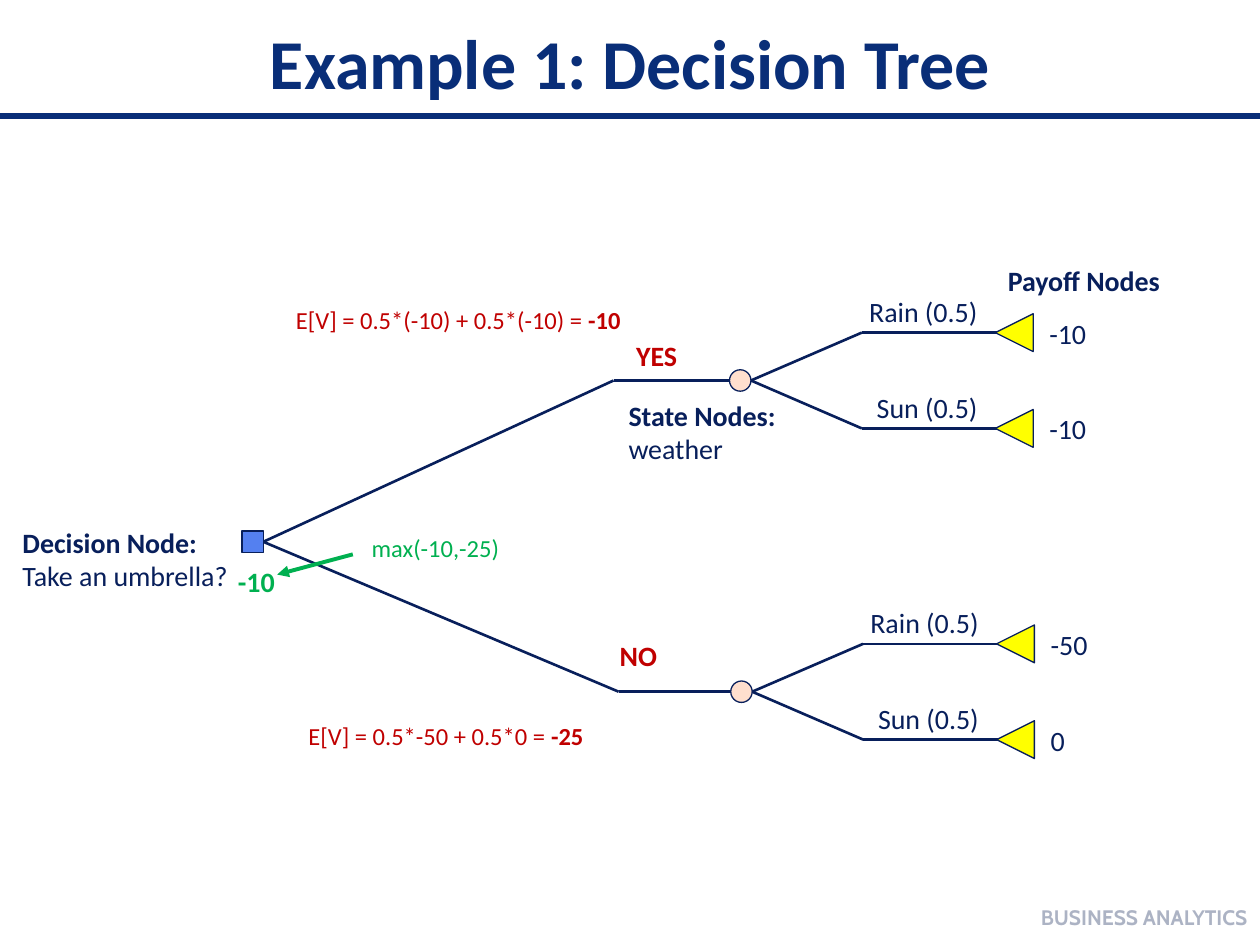
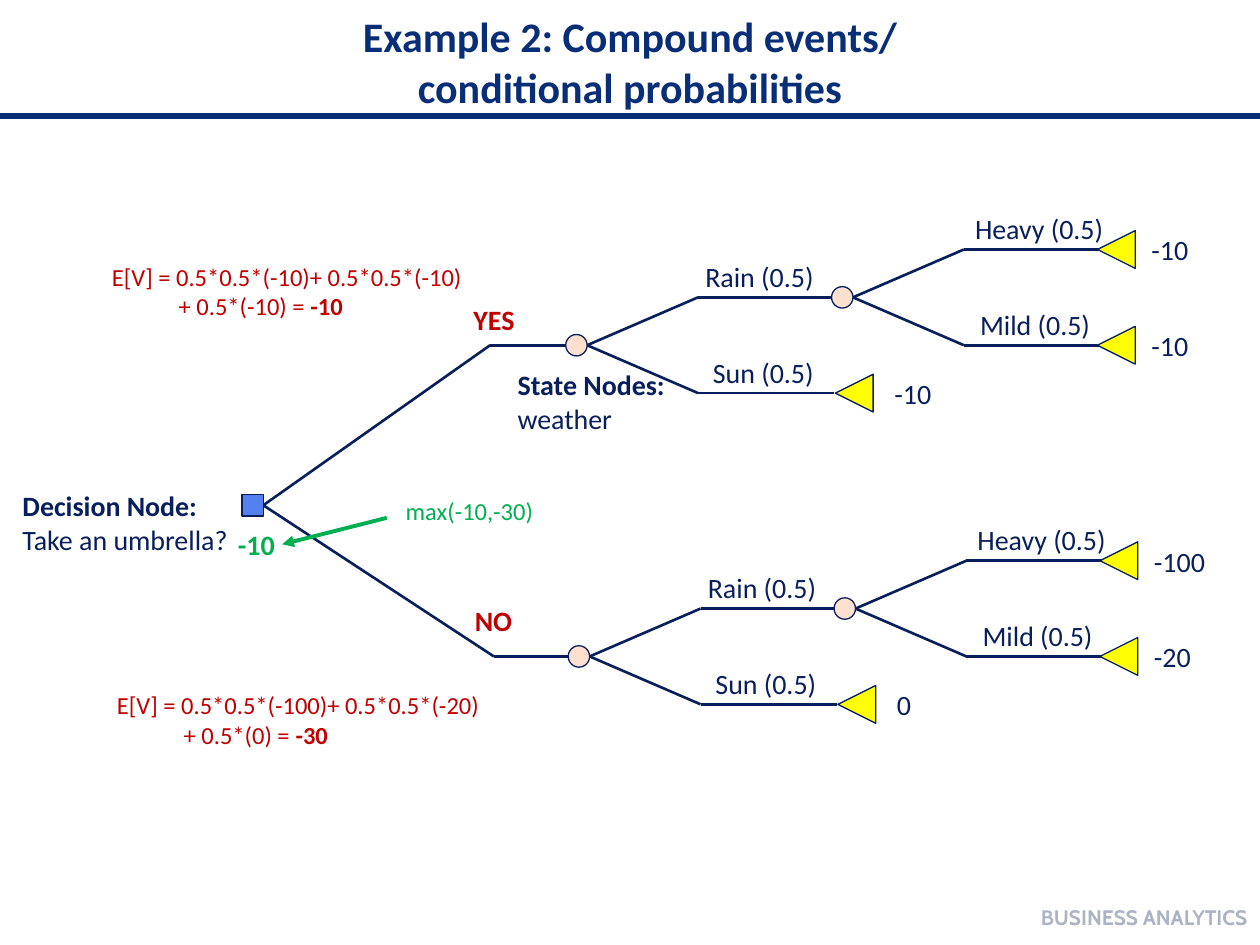
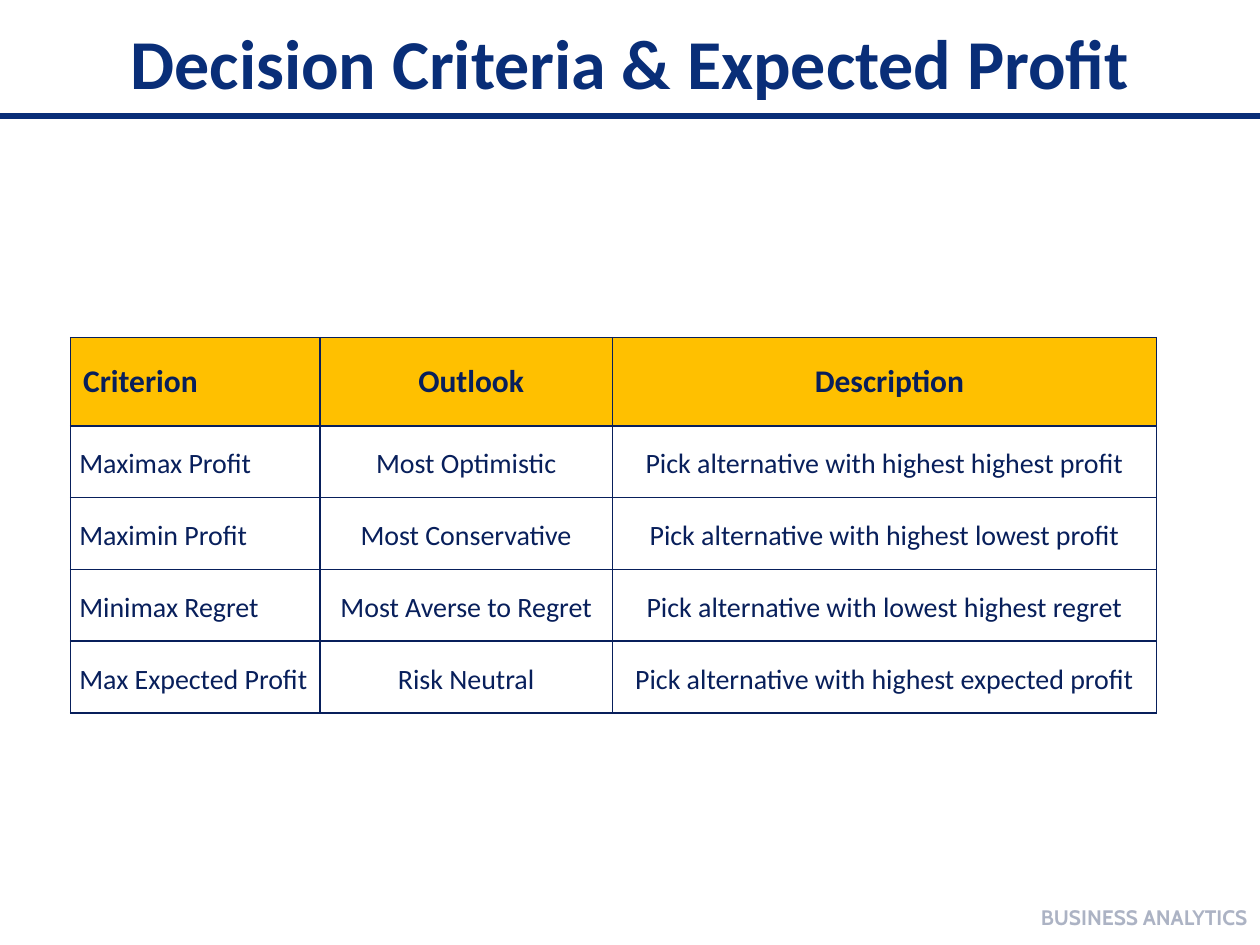
from lxml import etree
from pptx import Presentation
from pptx.dml.color import RGBColor
from pptx.enum.shapes import MSO_CONNECTOR, MSO_SHAPE
from pptx.enum.text import MSO_ANCHOR, MSO_AUTO_SIZE, PP_ALIGN
from pptx.oxml.ns import qn
from pptx.util import Inches, Pt

STRAIGHT = MSO_CONNECTOR.STRAIGHT
RECTANGLE, OVAL, TRIANGLE = (
    MSO_SHAPE.RECTANGLE, MSO_SHAPE.OVAL, MSO_SHAPE.ISOSCELES_TRIANGLE)
MIDDLE = MSO_ANCHOR.MIDDLE
LEFT, CENTER, RIGHT = PP_ALIGN.LEFT, PP_ALIGN.CENTER, PP_ALIGN.RIGHT
NO_FIT, GROW = MSO_AUTO_SIZE.NONE, MSO_AUTO_SIZE.SHAPE_TO_FIT_TEXT

TITLE_BLUE = RGBColor(0x09, 0x2E, 0x78)
NAVY = RGBColor(0x08, 0x1F, 0x5B)
FOOTER_NAVY = RGBColor(0x06, 0x19, 0x4C)
DECISION_BLUE = RGBColor(0x54, 0x80, 0xF0)
STATE_PEACH = RGBColor(0xFF, 0xDF, 0xCE)
PAYOFF_YELLOW = RGBColor(0xFF, 0xFF, 0x00)
RED = RGBColor(0xC0, 0x00, 0x00)
GREEN = RGBColor(0x00, 0xB0, 0x50)
HEADER_GOLD = RGBColor(0xFF, 0xC0, 0x00)

BODY_FONT, FOOTER_FONT = "Calibri", "Cabin"
TITLE_ONLY = 5

NODE = 0.17          # side of decision and state nodes
LEAF = 0.3           # side of payoff triangles
ROOT_X = 1.92
SPREAD = 0.38        # height of a branch above or below its state node
KNEE, BRANCH_END = 0.88, 1.96

# event: (offset of its label from the state node, label width)
EVENTS = {"Rain": (0.84, 1.07), "Sun": (0.9, 1.01),
          "Heavy": (0.87, 1.23), "Mild": (0.91, 1.08)}
PAYOFF_WIDTHS = {1: 0.32, 3: 0.5, 4: 0.61}   # by number of characters

COLUMN_WIDTHS = [1.98, 2.32, 4.32]
HEADER_HEIGHT, ROW_HEIGHT = 0.7, 0.57
CRITERIA = [
    ("Criterion", "Outlook", "Description"),
    ("Maximax Profit", "Most Optimistic",
     "Pick alternative with highest highest profit"),
    ("Maximin Profit", "Most Conservative",
     "Pick alternative with highest lowest profit"),
    ("Minimax Regret", "Most Averse to Regret",
     "Pick alternative with lowest highest regret"),
]
EXPECTED_PROFIT = [
    ("Max Expected Profit", "Risk Neutral",
     "Pick alternative with highest expected profit"),
]


def style_font(font, size, color=NAVY, bold=False, name=BODY_FONT):
    font.size, font.bold, font.name = Pt(size), bold, name
    font.color.rgb = color


def add_text(slide, x, y, width, lines, size=16, color=NAVY, indent=0):
    """Lines are lists of (text, bold) runs; indent applies after the first."""
    height = 0.1 + len(lines) * size / 60
    box = slide.shapes.add_textbox(*map(Inches, (x, y, width, height)))
    frame = box.text_frame
    frame.word_wrap = False
    frame.auto_size = GROW
    for number, runs in enumerate(lines):
        paragraph = frame.add_paragraph() if number else frame.paragraphs[0]
        if number and indent:
            paragraph._p.get_or_add_pPr().set("marL", str(Inches(indent)))
        for text, bold in runs:
            run = paragraph.add_run()
            run.text = text
            style_font(run.font, size, color, bold)


def add_line(slide, start, end, color=NAVY, width=1.5, arrow=False):
    line = slide.shapes.add_connector(STRAIGHT, *map(Inches, (*start, *end)))
    line.line.color.rgb = color
    line.line.width = Pt(width)
    if arrow:
        etree.SubElement(line.line._get_or_add_ln(), qn("a:tailEnd"),
                         type="triangle")
    etree.SubElement(line._element.spPr, qn("a:effectLst"))


def add_node(slide, kind, x, center_y, side, fill):
    node = slide.shapes.add_shape(
        kind, *map(Inches, (x, center_y - side / 2, side, side)))
    node.shadow.inherit = False
    node.fill.solid()
    node.fill.fore_color.rgb = fill
    node.line.color.rgb = NAVY
    node.line.width = Pt(0.75)
    return node


def add_payoff(slide, x, y, value, gap):
    add_node(slide, TRIANGLE, x, y, LEAF, PAYOFF_YELLOW).rotation = 270
    add_text(slide, x + gap, y - 0.18, PAYOFF_WIDTHS[len(value)],
             [[(value, False)]])


def add_fork(slide, x, y, branches, leaf_x=1.94, leaf_gap=0.33):
    """State node ending at (x, y), with an upper and a lower branch.

    Branches are (event, outcome); an outcome is a payoff or nested branches.
    """
    for side, (event, outcome) in zip((-1, 1), branches):
        branch_y = y + side * SPREAD
        add_line(slide, (x, y), (x + KNEE, branch_y))
        add_line(slide, (x + KNEE, branch_y), (x + BRANCH_END, branch_y))
        label_x, label_width = EVENTS[event]
        add_text(slide, x + label_x, branch_y - 0.35, label_width,
                 [[(f"{event} (0.5)", False)]])
        if isinstance(outcome, str):
            add_payoff(slide, x + leaf_x, branch_y, outcome, leaf_gap)
        else:
            add_fork(slide, x + 2.11, branch_y, outcome)
    add_node(slide, OVAL, x - NODE, y, NODE, STATE_PEACH)


def add_decision(slide, y, forks, knees, maximum, maximum_x, arrow_tip):
    """Decision node at height y, with its stems to the forks."""
    start = (ROOT_X + NODE, y)
    for knee_x, (fork_x, fork_y) in zip(knees, forks):
        add_line(slide, start, (knee_x, fork_y))
        add_line(slide, (knee_x, fork_y), (fork_x - NODE, fork_y))
    add_node(slide, RECTANGLE, ROOT_X, y, NODE, DECISION_BLUE)
    add_text(slide, 0.08, y - 0.18, 1.85,
             [[("Decision Node:", True)], [("Take an umbrella?", False)]])
    add_text(slide, 1.79, y + 0.13, 0.5, [[("-10", True)]], color=GREEN)
    add_text(slide, maximum_x, y - 0.12, 1.22, [[(maximum, False)]], 14, GREEN)
    add_line(slide, (maximum_x - 0.05, y + 0.1), arrow_tip, GREEN, 2.25, True)


def add_stem_labels(slide, yes, no, state):
    for text, (x, y), width in (("YES", yes, 0.53), ("NO", no, 0.5)):
        add_text(slide, x, y, width, [[(text, True)]], color=RED)
    add_text(slide, *state, 1.38,
             [[("State Nodes:", True)], [("weather", False)]])


def add_footer(slide):
    box = slide.shapes.add_textbox(*map(Inches, (6.67, 7.08, 3.33, 0.4)))
    frame = box.text_frame
    frame.word_wrap = True
    frame.vertical_anchor = MIDDLE
    paragraph = frame.paragraphs[0]
    paragraph.alignment = RIGHT
    run = paragraph.add_run()
    run.text = "BUSINESS ANALYTICS"
    style_font(run.font, 12, FOOTER_NAVY, True, FOOTER_FONT)
    color = run._r.find(".//" + qn("a:srgbClr"))
    etree.SubElement(color, qn("a:alpha"), val="33000")


def add_titled_slide(deck, heading, size=40):
    slide = deck.slides.add_slide(deck.slide_layouts[TITLE_ONLY])
    add_line(slide, (0, 0.92), (10, 0.92), TITLE_BLUE, 3)
    add_footer(slide)
    title = slide.shapes.title
    title.left, title.top, title.width, title.height = map(
        Inches, (0.69, -0.24, 8.62, 1.45))
    frame = title.text_frame
    frame.text = heading
    frame.auto_size = NO_FIT
    frame.vertical_anchor = MIDDLE
    paragraph = frame.paragraphs[0]
    paragraph.alignment = CENTER
    for run in paragraph.runs:
        style_font(run.font, size, TITLE_BLUE, True)
    return slide


def add_borders(cell):
    properties = cell._tc.get_or_add_tcPr()
    for side in ("a:lnL", "a:lnR", "a:lnT", "a:lnB"):
        line = etree.SubElement(properties, qn(side), w=str(Pt(1)))
        fill = etree.SubElement(line, qn("a:solidFill"))
        etree.SubElement(fill, qn("a:srgbClr"), val=str(NAVY))


def fill_cell(cell, text, alignment, header):
    add_borders(cell)
    if header:
        cell.fill.solid()
        cell.fill.fore_color.rgb = HEADER_GOLD
    else:
        cell.fill.background()
    cell.text = text
    cell.vertical_anchor = MIDDLE
    insets = (0.1, 0.05, 0.02, 0.05) if header else (0.07, 0, 0.07, 0)
    for side, inset in zip(("left", "top", "right", "bottom"), insets):
        setattr(cell, f"margin_{side}", Inches(inset))
    paragraph = cell.text_frame.paragraphs[0]
    paragraph.alignment = alignment
    if not header:
        paragraph.line_spacing = 1.15
    style_font(paragraph.runs[0].font, 18 if header else 16, bold=header)


def add_criteria_table(slide, x, y, rows, has_header):
    heights = [ROW_HEIGHT] * len(rows)
    if has_header:
        heights[0] = HEADER_HEIGHT
    table = slide.shapes.add_table(
        len(rows), len(COLUMN_WIDTHS),
        *map(Inches, (x, y, sum(COLUMN_WIDTHS), sum(heights)))).table
    table.first_row = has_header
    table.horz_banding = False
    for column, width in zip(table.columns, COLUMN_WIDTHS):
        column.width = Inches(width)
    for index, (row, height, texts) in enumerate(
            zip(table.rows, heights, rows)):
        row.height = Inches(height)
        for cell, text, alignment in zip(
                row.cells, texts, (LEFT, CENTER, CENTER)):
            fill_cell(cell, text, alignment, has_header and index == 0)


def build_simple_tree(deck):
    slide = add_titled_slide(deck, "Example 1: Decision Tree")
    forks = [(5.96, 3.02), (5.97, 5.49)]
    add_decision(slide, 4.3, forks, (4.87, 4.91), "max(-10,-25)", 2.85,
                 (2.2, 4.56))
    add_fork(slide, *forks[0], [("Rain", "-10"), ("Sun", "-10")])
    add_fork(slide, *forks[1], [("Rain", "-50"), ("Sun", "0")])
    add_stem_labels(slide, (4.95, 2.64), (4.82, 5.02), (4.89, 3.11))
    add_text(slide, 7.9, 2.04, 1.43, [[("Payoff Nodes", True)]])
    add_text(slide, 2.25, 2.37, 2.8,
             [[("E[V] = 0.5*(-10) + 0.5*(-10) = ", False), ("-10", True)]],
             14, RED)
    add_text(slide, 2.35, 5.67, 2.4,
             [[("E[V] = 0.5*-50 + 0.5*0 = ", False), ("-25", True)]], 14, RED)


def build_compound_tree(deck):
    slide = add_titled_slide(
        deck, "Example 2: Compound events/\vconditional probabilities", 24)
    forks = [(4.66, 2.74), (4.68, 5.21)]
    outcomes = [("-10", "-10", "-10"), ("-100", "-20", "0")]
    add_decision(slide, 4.01, forks, (3.89, 3.92), "max(-10,-30)", 3.12,
                 (2.24, 4.32))
    for (x, y), (heavy, mild, sun) in zip(forks, outcomes):
        rain = [("Heavy", heavy), ("Mild", mild)]
        add_fork(slide, x, y, [("Rain", rain), ("Sun", sun)], 1.97, 0.37)
    add_stem_labels(slide, (3.66, 2.35), (3.67, 4.74), (4.01, 2.87))
    add_text(slide, 0.79, 2.03, 3,
             [[("E[V] = 0.5*0.5*(-10)+ 0.5*0.5*(-10)", False)],
              [("+ 0.5*(-10) = ", False), ("-10", True)]],
             14, RED, indent=0.53)
    add_text(slide, 0.83, 5.43, 3.1,
             [[("E[V] = 0.5*0.5*(-100)+ 0.5*0.5*(-20)", False)],
              [("+ 0.5*(0) = ", False), ("-30", True)]],
             14, RED, indent=0.53)


def build_criteria(deck):
    slide = add_titled_slide(deck, "Decision Criteria & Expected Profit")
    add_criteria_table(slide, 0.56, 2.68, CRITERIA, True)
    add_criteria_table(slide, 0.56, 5.09, EXPECTED_PROFIT, False)


def main():
    deck = Presentation()
    deck.slide_width, deck.slide_height = Inches(10), Inches(7.5)
    build_simple_tree(deck)
    build_compound_tree(deck)
    build_criteria(deck)
    deck.save("out.pptx")


if __name__ == "__main__":
    main()
